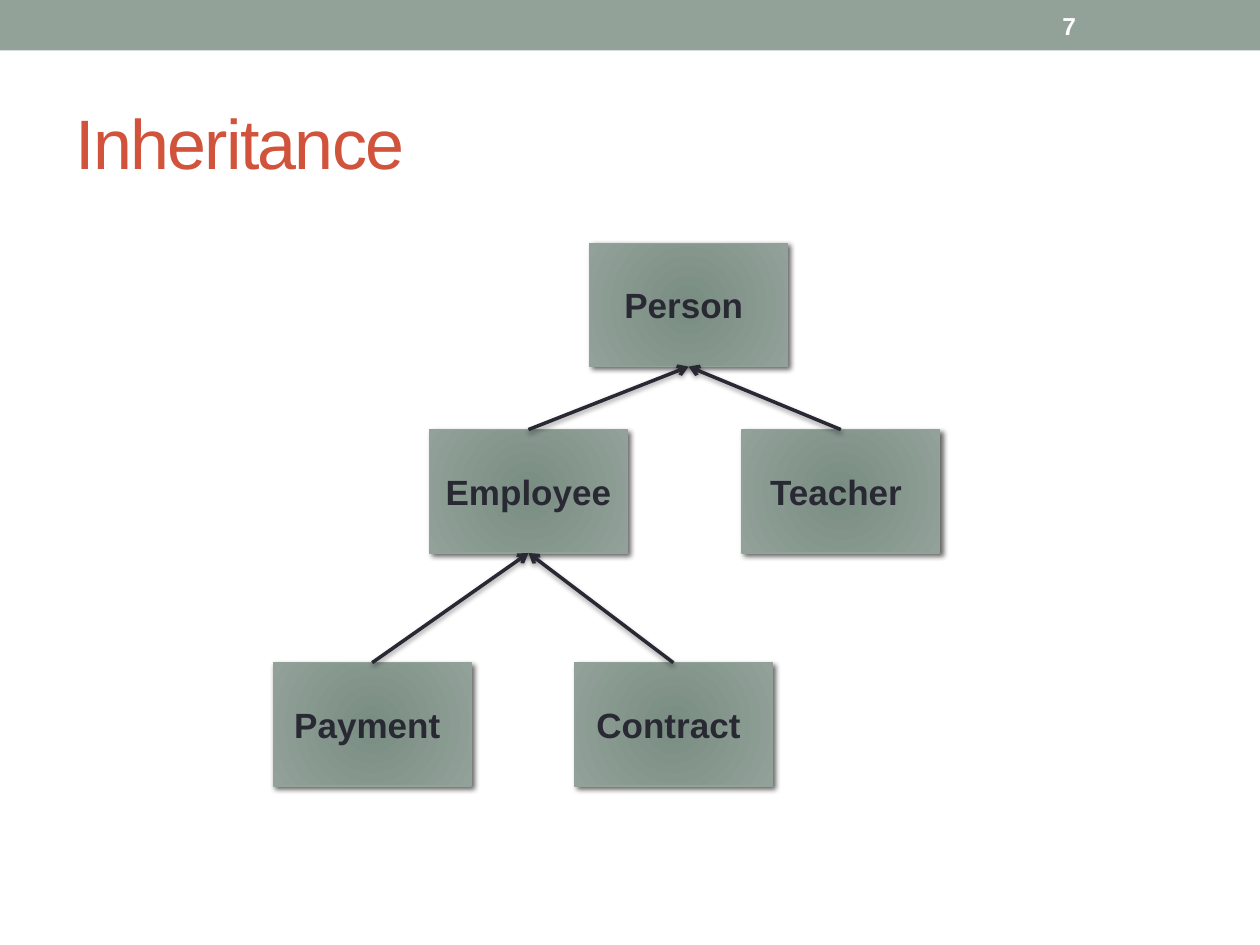
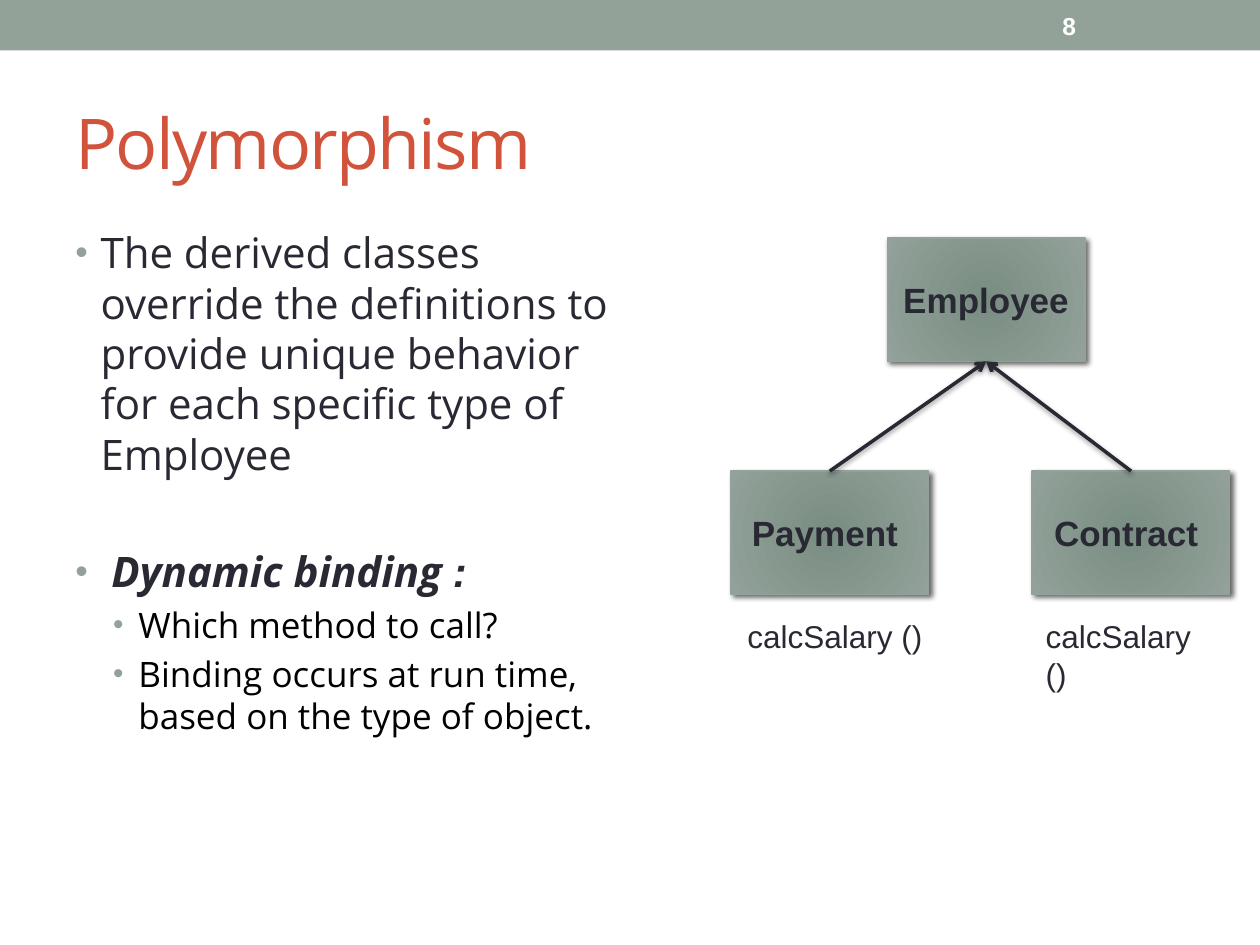
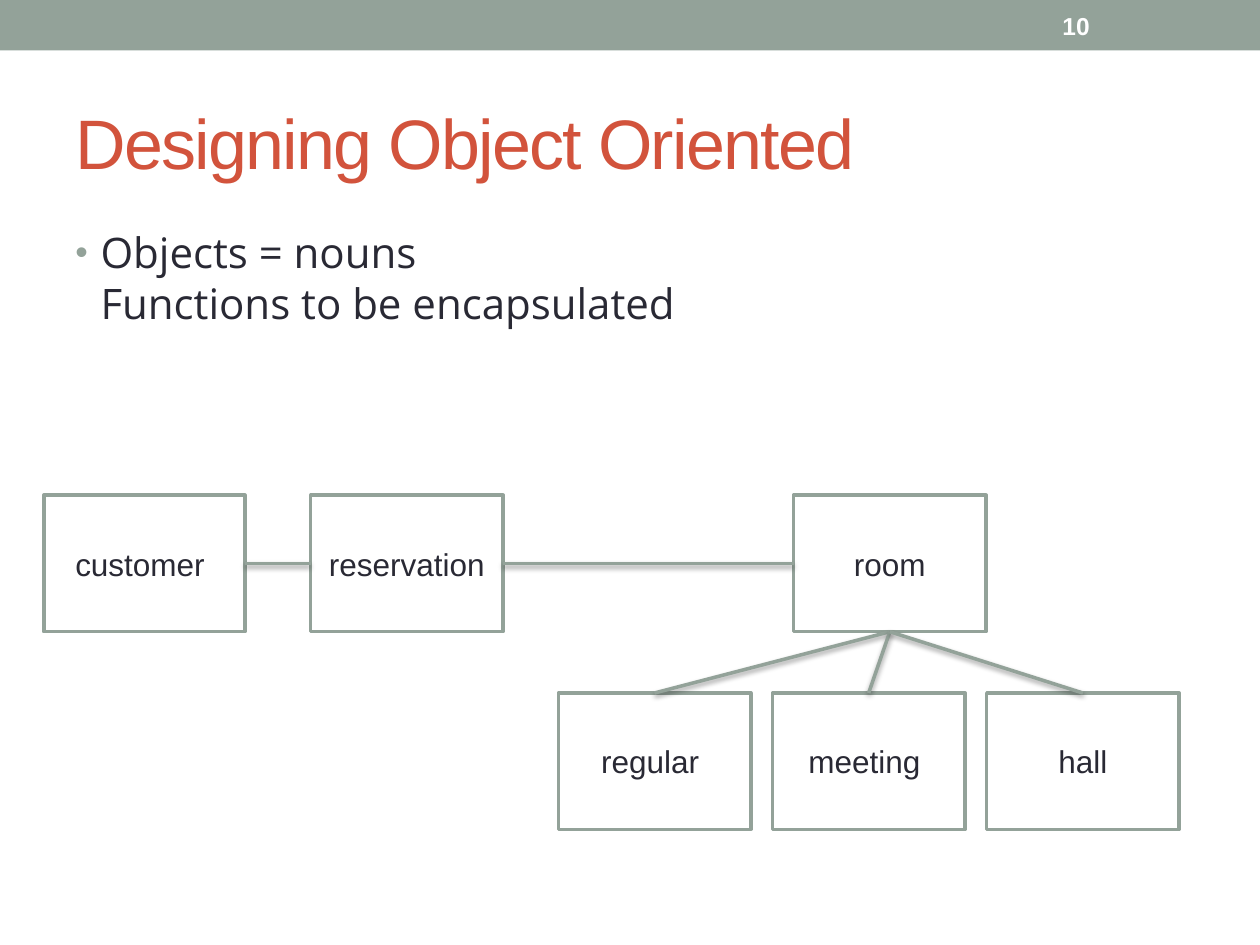
from dataclasses import dataclass

from lxml.etree import SubElement
from pptx import Presentation
from pptx.dml.color import RGBColor
from pptx.enum.shapes import MSO_CONNECTOR, MSO_SHAPE
from pptx.enum.text import MSO_ANCHOR, MSO_AUTO_SIZE, PP_ALIGN
from pptx.oxml.ns import qn
from pptx.util import Pt


@dataclass(frozen=True)
class Theme:
    sage: str = "93A299"
    sage_core: str = "7A8D83"
    sage_edge: str = "92A199"
    ink: str = "292934"
    rust: str = "D2533C"
    black: str = "000000"
    white: str = "FFFFFF"
    sans: str = "Arial"
    humanist: str = "Open Sans"
    title: int = 40
    body: int = 24
    node: int = 20
    label: int = 18
    number: int = 14
    leading: float = 1.2


THEME = Theme()
TOP, LEFT, BOTTOM, RIGHT = range(4)  # connection sites of a rectangle
CLASS_SIZE = (113, 70.5)
ENTITY_SIZE = (110, 78)


def set_all(target, values):
    for name, value in values.items():
        setattr(target, name, value)


def add_xml(parent, tag, **attributes):
    return SubElement(parent, qn(tag), {key: str(value) for key, value in attributes.items()})


def cast_shadow(effects, alpha, blur, distance, angle):
    shadow = add_xml(effects, "a:outerShdw", blurRad=Pt(blur), dist=Pt(distance),
                     dir=angle * 60000, algn="ctr", rotWithShape=0)
    color = add_xml(shadow, "a:srgbClr", val=THEME.black)
    add_xml(color, "a:alpha", val=alpha * 1000)


class Slides:
    """Holds the deck and the page being drawn."""

    def __init__(self):
        self.deck = Presentation()
        set_all(self.deck, {"slide_width": Pt(720), "slide_height": Pt(540)})
        self.layout = self.deck.slide_layouts[5]
        self.page = None

    def new_page(self, title, number, font=THEME.sans):
        first = self.page is None
        self.page = self.deck.slides.add_slide(self.layout)
        if first:
            self.share_band()
        box = self.page.shapes.title
        set_all(box, {"left": Pt(36), "top": Pt(42), "width": Pt(648), "height": Pt(78)})
        self.frame(box, MSO_ANCHOR.MIDDLE)
        para = box.text_frame.paragraphs[0]
        para.alignment = PP_ALIGN.LEFT
        span = self.span(para, title, THEME.title, THEME.rust, font)
        span.font.element.set("spc", "-100") if hasattr(span.font, "element") else \
            span._r.get_or_add_rPr().set("spc", "-100")
        self.text((600, 1.5, 84, 26), str(number), THEME.number, THEME.white,
                  anchor=MSO_ANCHOR.MIDDLE, bold=True)

    def share_band(self):
        """Draw the top band and move it to the layout, behind everything."""
        band = self.box((0, 0, 720, 28.8), THEME.sage)
        band.line.fill.background()
        band.element.xpath(".//p:cNvPr")[0].set("id", "99")
        self.layout.shapes.element.insert(2, band.element)

    def frame(self, box, anchor):
        set_all(box.text_frame, {
            "word_wrap": True, "auto_size": MSO_AUTO_SIZE.NONE, "vertical_anchor": anchor,
            "margin_left": Pt(7.2), "margin_right": Pt(7.2),
            "margin_top": Pt(3.6), "margin_bottom": Pt(3.6)})

    def span(self, para, text, size, color, font=THEME.sans, **values):
        span = para.add_run()
        span.text = text
        set_all(span.font, {"size": Pt(size), "name": font, **values})
        span.font.color.rgb = RGBColor.from_string(color)
        return span

    def text(self, bounds, text, size, color, anchor=MSO_ANCHOR.TOP, **values):
        box = self.page.shapes.add_textbox(*map(Pt, bounds))
        self.frame(box, anchor)
        self.span(box.text_frame.paragraphs[0], text, size, color, **values)

    def body(self, width):
        box = self.page.shapes.add_textbox(Pt(36), Pt(126), Pt(width), Pt(384))
        self.frame(box, MSO_ANCHOR.TOP)
        return box.text_frame

    def bullet(self, frame, text, level=0, gap=4.8, **values):
        """Add a bulleted paragraph; a newline in the text is a line break."""
        para = frame.paragraphs[0]
        if para.runs:
            para = frame.add_paragraph()
        size, color = ((THEME.body, THEME.ink), (THEME.node, THEME.black))[level]
        set_all(para, {"level": level, "space_before": Pt(gap),
                       "line_spacing": Pt(size * THEME.leading)})
        marks = para._p.get_or_add_pPr()
        marks.set("marL", str(Pt((14.4, 36)[level])))
        marks.set("indent", str(Pt(-14.4)))
        add_xml(add_xml(marks, "a:buClr"), "a:srgbClr", val=THEME.sage)
        add_xml(marks, "a:buSzPct", val=85000)
        add_xml(marks, "a:buFont", typeface=THEME.sans)
        add_xml(marks, "a:buChar", char="•")
        for index, line in enumerate(text.split("\n")):
            if index:
                para.add_line_break()
            self.span(para, line, size, color, THEME.humanist, **values)
        return para

    def box(self, bounds, fill):
        box = self.page.shapes.add_shape(MSO_SHAPE.RECTANGLE, *map(Pt, bounds))
        box.shadow.inherit = False
        box.fill.solid()
        box.fill.fore_color.rgb = RGBColor.from_string(fill)
        box.line.color.rgb = RGBColor.from_string(THEME.sage)
        self.frame(box, MSO_ANCHOR.MIDDLE)
        return box

    def caption(self, box, text, size, **values):
        para = box.text_frame.paragraphs[0]
        para.alignment = PP_ALIGN.CENTER
        self.span(para, text, size, THEME.ink, **values)

    def class_box(self, left, top, name):
        box = self.box((left, top, *CLASS_SIZE), THEME.sage)
        box.line.width = Pt(0.75)
        box.fill.gradient()
        for stop, color in zip(box.fill.gradient_stops, (THEME.sage_core, THEME.sage_edge)):
            stop.color.rgb = RGBColor.from_string(color)
        gradient = box.element.spPr.find(qn("a:gradFill"))
        gradient.remove(gradient.find(qn("a:lin")))
        circle = add_xml(gradient, "a:path", path="circle")
        add_xml(circle, "a:fillToRect", l=50000, t=50000, r=50000, b=50000)
        cast_shadow(box.element.spPr.find(qn("a:effectLst")), 60, 3, 2, 45)
        self.caption(box, name, THEME.node, bold=True)
        return box

    def entity_box(self, left, top, name, width=ENTITY_SIZE[0]):
        box = self.box((left, top, width, ENTITY_SIZE[1]), THEME.white)
        box.line.width = Pt(2)
        self.caption(box, name, THEME.label)
        return box

    def connect(self, start, start_site, end, end_site, color=THEME.sage, arrow=False):
        line = self.page.shapes.add_connector(MSO_CONNECTOR.STRAIGHT, 0, 0, 0, 0)
        line.begin_connect(start, start_site)
        line.end_connect(end, end_site)
        line.line.color.rgb = RGBColor.from_string(color)
        line.line.width = Pt(2)
        properties = line.element.spPr
        if arrow:
            add_xml(properties.find(qn("a:ln")), "a:tailEnd", type="arrow")
        cast_shadow(add_xml(properties, "a:effectLst"), 38, 3.1, 1.6, 90)

    def derive(self, parent, *children):
        for child in children:
            self.connect(child, TOP, parent, BOTTOM, THEME.ink, arrow=True)

    def employee_family(self, left, top):
        """Draw Employee with its two derived classes below."""
        employee = self.class_box(left, top, "Employee")
        payment = self.class_box(left - 89.3, top + 133.2, "Payment ")
        contract = self.class_box(left + 82.8, top + 133.2, "Contract ")
        self.derive(employee, payment, contract)
        return employee


def inheritance(slides):
    slides.new_page("Inheritance", 7)
    person = slides.class_box(337, 139, "Person ")
    teacher = slides.class_box(424, 245.5, "Teacher ")
    employee = slides.employee_family(245.5, 245.5)
    slides.derive(person, employee, teacher)


def polymorphism(slides):
    slides.new_page("Polymorphism", 8, THEME.humanist)
    frame = slides.body(319)
    slides.bullet(frame, "The derived classes override the definitions to provide unique "
                         "behavior for each specific type of Employee")
    emphasis = {"bold": True, "italic": True}
    para = slides.bullet(frame, " Dynamic binding ", gap=38.4, **emphasis)
    slides.span(para, ":", THEME.body, THEME.ink, **emphasis)
    for line in ("Which method to call?",
                 "Binding occurs at run time, based on the type of object."):
        slides.bullet(frame, line, level=1, gap=4)
    slides.employee_family(507, 136)
    for left, width in ((420, 116), (590.4, 112)):
        slides.text((left, 349, width, 29), "calcSalary ()", THEME.label, THEME.ink)


def object_design(slides):
    slides.new_page("Designing Object Oriented", 10)
    slides.bullet(slides.body(648), "Objects = nouns\nFunctions to be encapsulated")
    kinds = [slides.entity_box(319 + 122.4 * column, 396, name)
             for column, name in enumerate(("regular ", "meeting ", "hall"))]
    customer = slides.entity_box(25, 283, "customer ", width=115)
    reservation = slides.entity_box(177.5, 283, "reservation")
    room = slides.entity_box(453.5, 283, "room")
    slides.connect(customer, RIGHT, reservation, LEFT)
    slides.connect(reservation, RIGHT, room, LEFT)
    for kind in kinds:
        slides.connect(room, BOTTOM, kind, TOP)


def main():
    slides = Slides()
    inheritance(slides)
    polymorphism(slides)
    object_design(slides)
    slides.deck.save("out.pptx")


if __name__ == "__main__":
    main()
